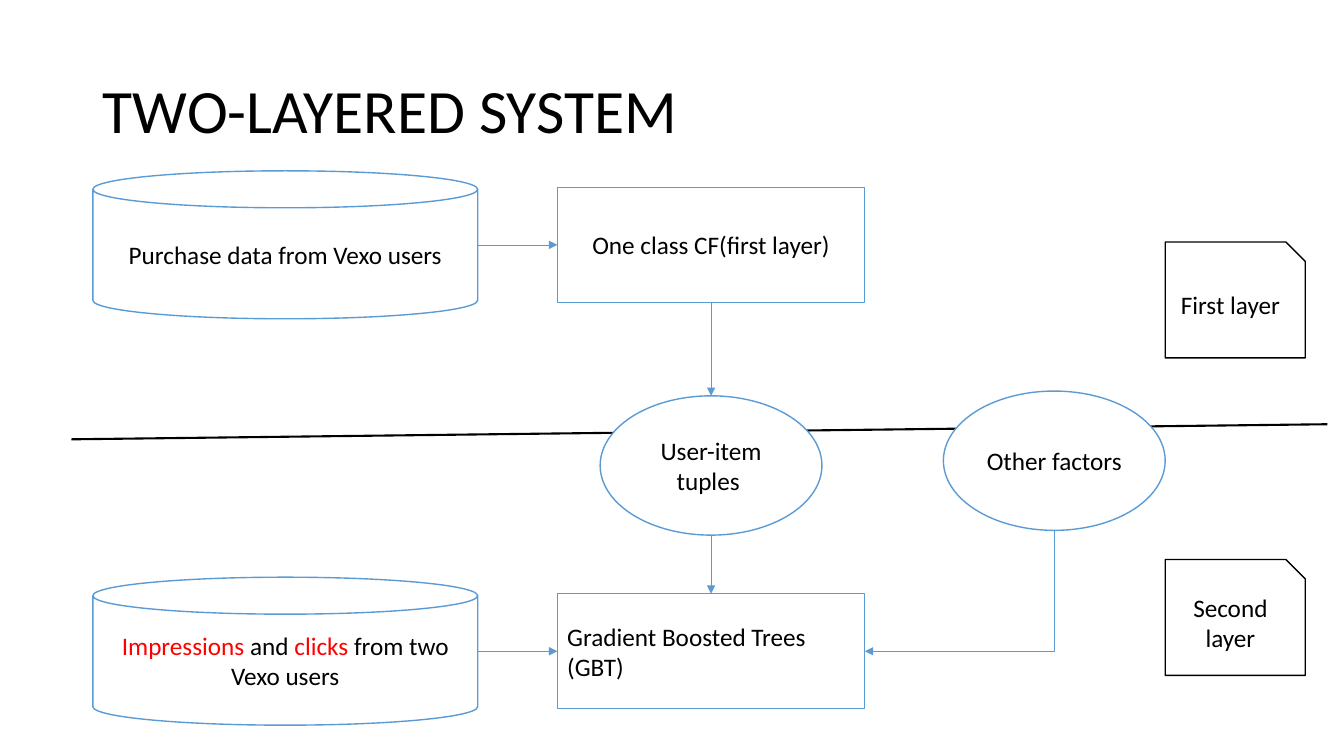
from dataclasses import dataclass

from lxml.etree import SubElement
from pptx import Presentation
from pptx.dml.color import RGBColor
from pptx.enum.shapes import MSO_CONNECTOR as LINE, MSO_SHAPE as SHAPE
from pptx.enum.text import MSO_ANCHOR as ANCHOR, MSO_AUTO_SIZE, PP_ALIGN as ALIGN
from pptx.oxml.ns import qn
from pptx.shapes.autoshape import Shape
from pptx.shapes.connector import Connector
from pptx.util import Cm, Pt

BLACK = RGBColor(0x00, 0x00, 0x00)
WHITE = RGBColor(0xFF, 0xFF, 0xFF)
RED = RGBColor(0xFF, 0x00, 0x00)
BLUE = RGBColor(0x5B, 0x9B, 0xD5)
FONT = "Calibri"
TOP, LEFT, BOTTOM, RIGHT = range(4)

# Width and height in cm of each kind of node
SIZES = {
    SHAPE.CAN: (9.7, 3.73),
    SHAPE.RECTANGLE: (7.75, 2.9),
    SHAPE.OVAL: (5.59, 3.51),
    SHAPE.SNIP_1_RECTANGLE: (3.53, 2.92),
}
DATA_X, MODEL_X, FACTORS_X, LABEL_X = 7.19, 17.92, 26.57, 31.13
FIRST_Y, SECOND_Y = 6.17, 16.41


@dataclass
class Node:
    """A shape given by its centre in cm; runs are (text, colour) pairs."""
    kind: SHAPE
    cx: float
    cy: float
    runs: list[tuple[str, RGBColor]]
    line: RGBColor = BLUE
    align: ALIGN = ALIGN.CENTER


@dataclass
class Link:
    start: str
    start_side: int
    end: str
    end_side: int


NODES = {
    "purchases": Node(SHAPE.CAN, DATA_X, FIRST_Y,
                      [("Purchase data from Vexo users", BLACK)]),
    "cf": Node(SHAPE.RECTANGLE, MODEL_X, FIRST_Y,
               [("One class CF(first layer)", BLACK)]),
    "clicks": Node(SHAPE.CAN, DATA_X, SECOND_Y,
                   [("Impressions ", RED), ("and ", BLACK), ("clicks", RED),
                    (" from two Vexo users", BLACK)]),
    "gbt": Node(SHAPE.RECTANGLE, MODEL_X, SECOND_Y,
                [("Gradient Boosted Trees (GBT)", BLACK)], align=ALIGN.LEFT),
    "tuples": Node(SHAPE.OVAL, MODEL_X, 11.73, [("User-item tuples ", BLACK)]),
    "factors": Node(SHAPE.OVAL, FACTORS_X, 11.61, [("Other factors ", BLACK)]),
    "first": Node(SHAPE.SNIP_1_RECTANGLE, LABEL_X, 7.56,
                  [("First layer", BLACK)], line=BLACK),
    "second": Node(SHAPE.SNIP_1_RECTANGLE, LABEL_X, 15.56,
                   [("Second layer", BLACK)], line=BLACK),
}
LINKS = [
    Link("purchases", RIGHT, "cf", LEFT),
    Link("clicks", RIGHT, "gbt", LEFT),
    Link("cf", BOTTOM, "tuples", TOP),
    Link("tuples", BOTTOM, "gbt", TOP),
]


def write(sp: Shape, runs: list[tuple[str, RGBColor]], *, size: float = 18,
          align: ALIGN = ALIGN.CENTER, spacing: float = 1.0) -> None:
    tf = sp.text_frame
    tf.word_wrap = True
    tf.auto_size = MSO_AUTO_SIZE.NONE
    tf.vertical_anchor = ANCHOR.MIDDLE
    p = tf.paragraphs[0]
    p.alignment = align
    p.line_spacing = spacing
    for text, color in runs:
        r = p.add_run()
        r.text = text
        r.font.name = FONT
        r.font.size = Pt(size)
        r.font.color.rgb = color


def add_node(s, node: Node) -> Shape:
    w, h = SIZES[node.kind]
    sp = s.shapes.add_shape(node.kind, Cm(node.cx - w / 2), Cm(node.cy - h / 2),
                            Cm(w), Cm(h))
    sp.shadow.inherit = False
    sp.fill.solid()
    sp.fill.fore_color.rgb = WHITE
    sp.line.color.rgb = node.line
    sp.line.width = Pt(1)
    write(sp, node.runs, align=node.align)
    return sp


def midpoint(sp: Shape, side: int) -> tuple[int, int]:
    """Middle of one side of the shape's frame."""
    cx, cy = sp.left + sp.width // 2, sp.top + sp.height // 2
    return {TOP: (cx, sp.top), LEFT: (sp.left, cy),
            BOTTOM: (cx, sp.top + sp.height), RIGHT: (sp.left + sp.width, cy)}[side]


def add_line(s, start: tuple[int, int], end: tuple[int, int], *,
             kind: LINE = LINE.STRAIGHT, color: RGBColor = BLUE,
             width: float = 0.5, arrow: bool = True) -> Connector:
    c = s.shapes.add_connector(kind, *start, *end)
    c.line.color.rgb = color
    c.line.width = Pt(width)
    if arrow:
        SubElement(c.line._get_or_add_ln(), qn("a:tailEnd"), type="triangle")
    SubElement(c._element.spPr, qn("a:effectLst"))
    return c


def add_link(s, link: Link, shapes: dict[str, Shape]) -> None:
    start, end = shapes[link.start], shapes[link.end]
    c = add_line(s, midpoint(start, link.start_side), midpoint(end, link.end_side))
    if NODES[link.start].kind == SHAPE.RECTANGLE:
        c.begin_connect(start, link.start_side)
    if NODES[link.end].kind == SHAPE.RECTANGLE:
        c.end_connect(end, link.end_side)


def add_corner(s, start: tuple[int, int], end: tuple[int, int]) -> None:
    """Arrow running down and then left, as a single bend turned by 90 degrees."""
    (x1, y1), (x2, y2) = start, end
    cx, cy = (x1 + x2) // 2, (y1 + y2) // 2
    half_w, half_h = (y2 - y1) // 2, (x1 - x2) // 2
    c = add_line(s, (cx - half_w, cy - half_h), (cx + half_w, cy + half_h),
                 kind=LINE.ELBOW)
    spPr = c._element.spPr
    spPr.find(qn("a:xfrm")).set("rot", str(90 * 60000))
    spPr.find(qn("a:prstGeom")).set("prst", "bentConnector2")


def main() -> None:
    prs = Presentation()
    prs.slide_width, prs.slide_height = Cm(33.87), Cm(19.05)
    s = prs.slides.add_slide(prs.slide_layouts[5])

    title = s.shapes.title
    title.left, title.top, title.width, title.height = (
        Cm(2.34), Cm(1.01), Cm(29.21), Cm(3.68))
    write(title, [("TWO-LAYERED SYSTEM", BLACK)], size=44, align=ALIGN.LEFT,
          spacing=0.9)

    add_line(s, (Cm(1.8), Cm(11.07)), (Cm(33.45), Cm(10.69)),
             color=BLACK, width=1.5, arrow=False)
    shapes = {name: add_node(s, node) for name, node in NODES.items()}
    for link in LINKS:
        add_link(s, link, shapes)
    add_corner(s, midpoint(shapes["factors"], BOTTOM), midpoint(shapes["gbt"], RIGHT))

    prs.save("out.pptx")


if __name__ == "__main__":
    main()
